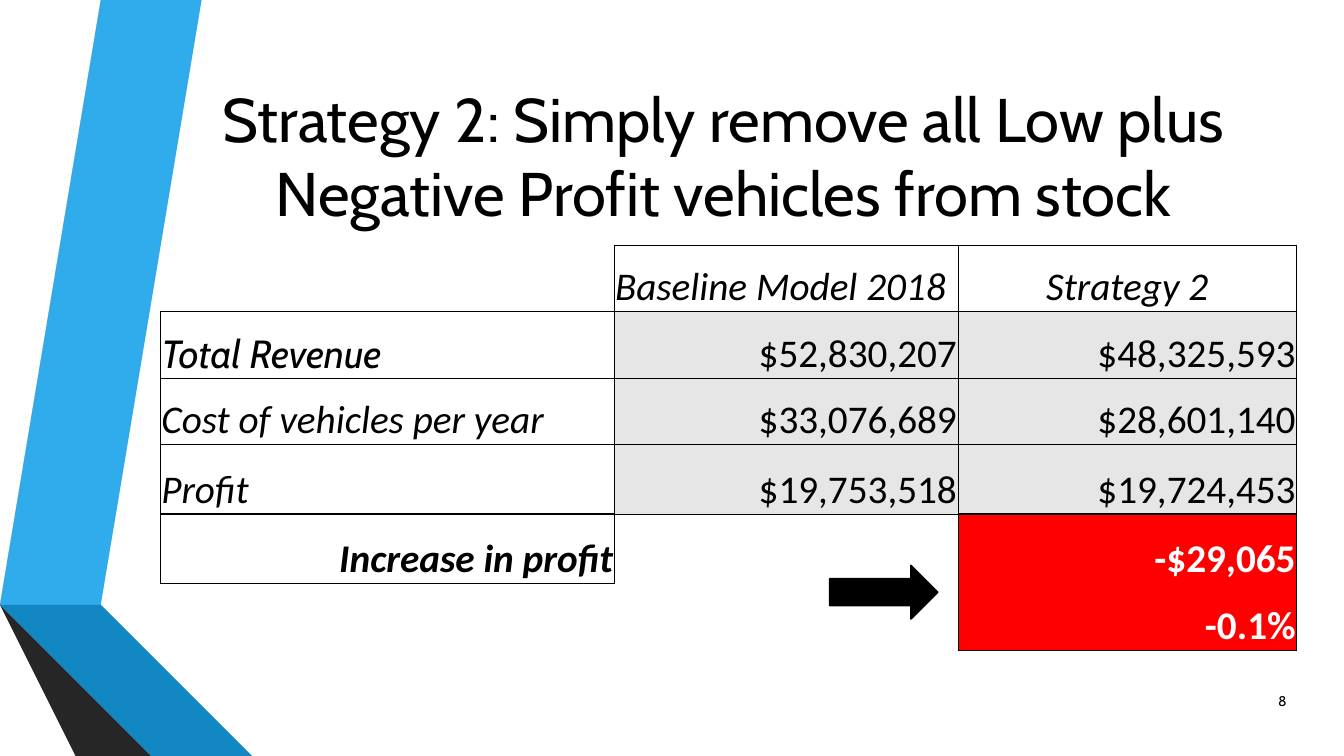
from dataclasses import dataclass

from lxml import etree
from pptx import Presentation
from pptx import util as u
from pptx.dml.color import RGBColor
from pptx.enum import shapes, text
from pptx.oxml.ns import qn

BLACK, WHITE, GREY, RED = "000000", "FFFFFF", "E7E6E6", "FF0000"
LEFT, CENTER, RIGHT = text.PP_ALIGN.LEFT, text.PP_ALIGN.CENTER, text.PP_ALIGN.RIGHT


@dataclass
class Ribbon:
    color: str
    points: list[tuple[float, float]]


@dataclass
class Entry:
    """One table cell; edges names its borders, thick those drawn at 2 pt."""
    words: str = ""
    align: text.PP_ALIGN = RIGHT
    italic: bool = False
    bold: bool = False
    font: str = "Calibri"
    color: str = BLACK
    fill: str = ""
    edges: str = "LRTB"
    thick: str = ""


RIBBONS = [
    Ribbon("30ACEC", [(0.5, 5.78), (0.77, 5.83), (1.73, 0), (1.45, 0)]),
    Ribbon("595959", [(1.39, 0), (1.11, 0), (0.16, 5.73), (0.44, 5.77)]),
    Ribbon("262626", [(0.16, 5.73), (1.45, 7.5), (1.51, 7.5)]),
    Ribbon("0C5A82", [(0.5, 5.79), (2.08, 7.5), (2.14, 7.5)]),
    Ribbon("1287C3", [(0.5, 5.79), (2.14, 7.5), (2.83, 7.5), (0.77, 5.83), (0.5, 5.78)]),
    Ribbon("404040", [(2.02, 7.5), (0.48, 5.83), (0.43, 5.77), (0.16, 5.73), (1.51, 7.5)]),
]


def label(words: str, **style) -> Entry:
    return Entry(words, LEFT, italic=True, **style)


def amount(words: str, **style) -> Entry:
    return Entry(words, fill=GREY, **style)


def loss(words: str, **style) -> Entry:
    return Entry(words, bold=True, color=WHITE, fill=RED, **style)


COLUMN_WIDTHS = [4.5, 3.41, 3.36]
ROW_HEIGHTS = [0.66, 0.66, 0.66, 0.69, 0.69, 0.66]
RESULTS = [
    [Entry(edges="RB"), label("Baseline Model 2018"), Entry("Strategy 2", CENTER, italic=True)],
    [label("Total Revenue", font="Cabin"), amount("$52,830,207"), amount("$48,325,593")],
    [label("Cost of vehicles per year"), amount("$33,076,689"), amount("$28,601,140")],
    [label("Profit", thick="B"), amount("$19,753,518"), amount("$19,724,453", thick="B")],
    [Entry("Increase in profit", italic=True, bold=True, thick="T"), Entry(edges="LRT"),
     loss("-$29,065", edges="LRT", thick="T")],
    [Entry(edges="T"), Entry(edges="R"), loss("-0.1%", edges="LRB")],
]


def rgb(color: str) -> RGBColor:
    return RGBColor.from_string(color)


def paint(target, color: str) -> None:
    target.fill.solid()
    target.fill.fore_color.rgb = rgb(color)


def add_run(paragraph, words: str, size: float, align: text.PP_ALIGN, font: str = "Cabin",
            color: str = BLACK, bold: bool = False, italic: bool = False) -> None:
    paragraph.alignment = align
    run = paragraph.add_run()
    run.text = words
    run.font.name, run.font.size = font, u.Pt(size)
    run.font.bold, run.font.italic = bold, italic
    run.font.color.rgb = rgb(color)


def draw_ribbon(slide, ribbon: Ribbon) -> None:
    builder = slide.shapes.build_freeform(*ribbon.points[0], scale=u.Inches(1))
    builder.add_line_segments(ribbon.points[1:], close=True)
    shape = builder.convert_to_shape()
    shape.shadow.inherit = False
    paint(shape, ribbon.color)
    shape.line.fill.background()


def set_borders(cell, entry: Entry) -> None:
    properties = cell._tc.get_or_add_tcPr()
    for position, edge in enumerate("LRTB"):
        line = etree.Element(qn(f"a:ln{edge}"))
        if edge in entry.edges:
            line.set("w", str(u.Pt(2 if edge in entry.thick else 0.5)))
            fill = etree.SubElement(line, qn("a:solidFill"))
            etree.SubElement(fill, qn("a:srgbClr"), val=BLACK)
        else:
            etree.SubElement(line, qn("a:noFill"))
        properties.insert(position, line)


def fill_cell(cell, entry: Entry) -> None:
    if entry.fill:
        paint(cell, entry.fill)
    else:
        cell.fill.background()
    set_borders(cell, entry)
    cell.margin_left = cell.margin_right = cell.margin_top = u.Inches(0.01)
    cell.margin_bottom = 0
    cell.vertical_anchor = text.MSO_ANCHOR.BOTTOM
    if entry.words:
        add_run(cell.text_frame.paragraphs[0], entry.words, 28, entry.align, entry.font,
                entry.color, entry.bold, entry.italic)


def draw_results(slide) -> None:
    table = slide.shapes.add_table(
        len(ROW_HEIGHTS), len(COLUMN_WIDTHS), u.Inches(1.59), u.Inches(2.43),
        u.Inches(sum(COLUMN_WIDTHS)), u.Inches(sum(ROW_HEIGHTS))).table
    table.first_row = table.horz_banding = False
    for column, width in zip(table.columns, COLUMN_WIDTHS):
        column.width = u.Inches(width)
    for row, height, entries in zip(table.rows, ROW_HEIGHTS, RESULTS):
        row.height = u.Inches(height)
        for cell, entry in zip(row.cells, entries):
            fill_cell(cell, entry)


def main() -> None:
    deck = Presentation()
    deck.slide_width, deck.slide_height = u.Inches(13.33), u.Inches(7.5)
    slide = deck.slides.add_slide(deck.slide_layouts[5])

    # Ribbons down the left side
    for ribbon in RIBBONS:
        draw_ribbon(slide, ribbon)

    # Title
    title = slide.shapes.title
    title.left, title.top = u.Inches(1.69), u.Inches(0.75)
    title.width, title.height = u.Inches(10.98), u.Inches(1.58)
    title.text_frame.word_wrap = True
    title.text_frame.auto_size = text.MSO_AUTO_SIZE.NONE
    title.text_frame.vertical_anchor = text.MSO_ANCHOR.MIDDLE
    add_run(title.text_frame.paragraphs[0],
            "Strategy 2: Simply remove all Low plus Negative Profit vehicles from stock",
            44, CENTER)

    # Results table, with an arrow to the loss
    draw_results(slide)
    arrow = slide.shapes.add_shape(shapes.MSO_SHAPE.RIGHT_ARROW, u.Inches(8.23),
                                   u.Inches(5.61), u.Inches(1.07), u.Inches(0.53))
    arrow.shadow.inherit = False
    paint(arrow, BLACK)
    arrow.line.color.rgb = rgb(BLACK)
    arrow.line.width = u.Pt(1.25)

    # Slide number
    number = slide.shapes.add_textbox(u.Inches(12.26), u.Inches(6.75),
                                      u.Inches(0.6), u.Inches(0.4)).text_frame
    number.word_wrap = True
    number.vertical_anchor = text.MSO_ANCHOR.MIDDLE
    add_run(number.paragraphs[0], "8", 10, RIGHT)

    deck.save("out.pptx")


if __name__ == "__main__":
    main()
